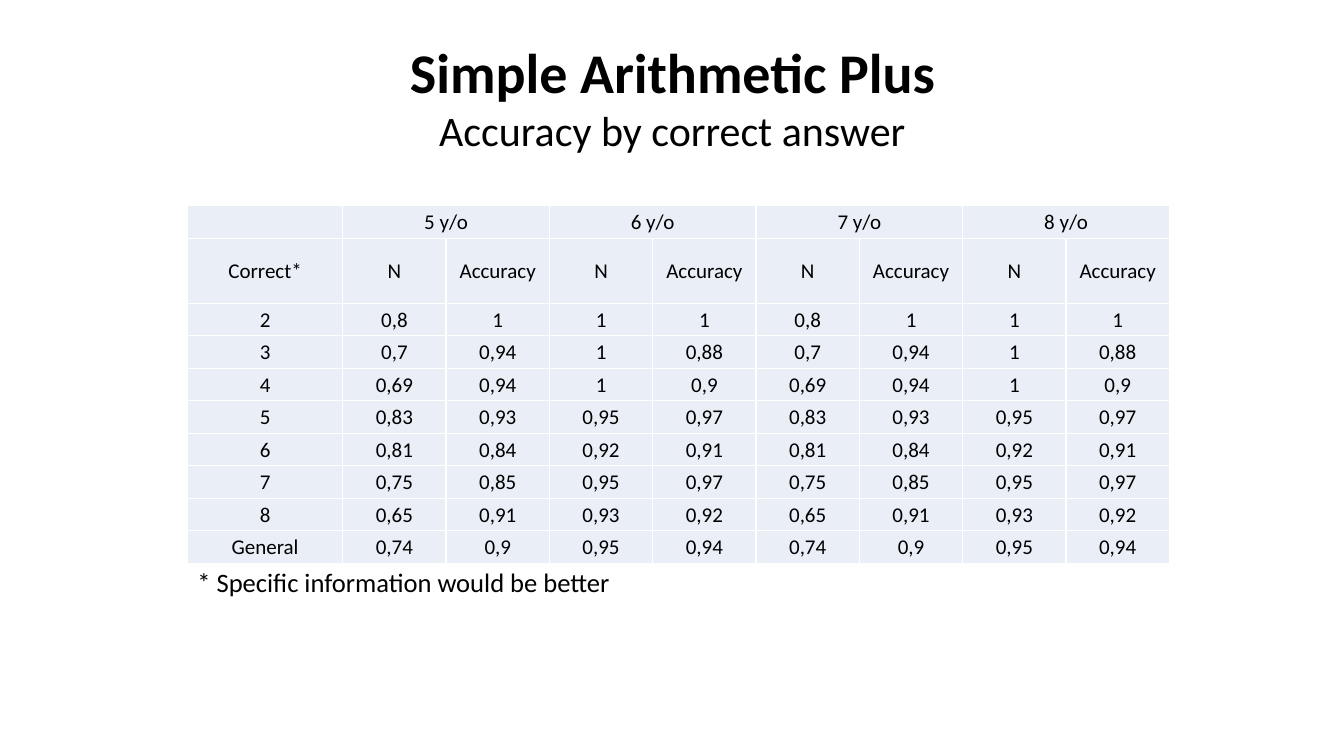
from lxml import etree
from pptx import Presentation
from pptx.dml.color import RGBColor
from pptx.enum.text import MSO_ANCHOR, MSO_AUTO_SIZE, PP_ALIGN
from pptx.oxml.ns import qn
from pptx.util import Inches, Pt

CENTER, LEFT = PP_ALIGN.CENTER, PP_ALIGN.LEFT
TOP, MIDDLE = MSO_ANCHOR.TOP, MSO_ANCHOR.MIDDLE
NO_FIT = MSO_AUTO_SIZE.NONE

FONT = "Calibri"
COLORS = {"text": "000000", "cell": "EAEFF7", "border": "FFFFFF"}

TITLE = "Simple Arithmetic Plus"
SUBTITLE = "Accuracy by correct answer"
FOOTNOTE = "* Specific information would be better"
AGES = ["5 y/o", "6 y/o", "7 y/o", "8 y/o"]
MEASURES = ["N", "Accuracy"]
RESULTS = [
    ("2", "0,8", "1", "1", "1", "0,8", "1", "1", "1"),
    ("3", "0,7", "0,94", "1", "0,88", "0,7", "0,94", "1", "0,88"),
    ("4", "0,69", "0,94", "1", "0,9", "0,69", "0,94", "1", "0,9"),
    ("5", "0,83", "0,93", "0,95", "0,97", "0,83", "0,93", "0,95", "0,97"),
    ("6", "0,81", "0,84", "0,92", "0,91", "0,81", "0,84", "0,92", "0,91"),
    ("7", "0,75", "0,85", "0,95", "0,97", "0,75", "0,85", "0,95", "0,97"),
    ("8", "0,65", "0,91", "0,93", "0,92", "0,65", "0,91", "0,93", "0,92"),
    ("General", "0,74", "0,9", "0,95", "0,94", "0,74", "0,9", "0,95", "0,94"),
]

TABLE_LEFT, TABLE_TOP, TABLE_WIDTH, TABLE_HEIGHT = 1.86, 2.04, 9.74, 3.55
LABEL_WIDTH = 1.54


def add_run(p, text, size, bold=False, align=CENTER):
    p.alignment = align
    r = p.add_run()
    r.text = text
    r.font.name = FONT
    r.font.size = Pt(size)
    r.font.bold = bold
    r.font.color.rgb = RGBColor.from_string(COLORS["text"])


def style_cell(cell):
    cell.vertical_anchor = MIDDLE
    cell.margin_left = cell.margin_right = cell.margin_top = Inches(0.01)
    cell.margin_bottom = 0
    tc_pr = cell._tc.get_or_add_tcPr()
    for side in ("a:lnL", "a:lnR", "a:lnT", "a:lnB"):
        line = etree.SubElement(tc_pr, qn(side), w=str(Pt(1)))
        fill = etree.SubElement(line, qn("a:solidFill"))
        etree.SubElement(fill, qn("a:srgbClr"), val=COLORS["border"])
    cell.fill.solid()
    cell.fill.fore_color.rgb = RGBColor.from_string(COLORS["cell"])


def add_title(s):
    title = s.shapes.title
    title.left, title.top = Inches(3.52), Inches(0.32)
    title.width, title.height = Inches(6.3), Inches(1.28)
    tf = title.text_frame
    tf.word_wrap = True
    tf.auto_size = NO_FIT
    tf.vertical_anchor = TOP
    add_run(tf.paragraphs[0], TITLE, 40, bold=True)
    add_run(tf.add_paragraph(), SUBTITLE, 30)


def add_results_table(s):
    span = len(MEASURES)
    age_row = [""]
    for age in AGES:
        age_row += [age] + [""] * (span - 1)
    rows = [age_row, ["Correct*"] + MEASURES * len(AGES)] + RESULTS
    n_cols = len(age_row)
    table = s.shapes.add_table(
        len(rows), n_cols, Inches(TABLE_LEFT), Inches(TABLE_TOP),
        Inches(TABLE_WIDTH), Inches(TABLE_HEIGHT)).table

    value_width = (TABLE_WIDTH - LABEL_WIDTH) / (n_cols - 1)
    for i, column in enumerate(table.columns):
        column.width = Inches(value_width if i else LABEL_WIDTH)
    row_height = TABLE_HEIGHT / (len(rows) + 1)
    for i, row in enumerate(table.rows):
        row.height = Inches(row_height * (2 if i == 1 else 1))

    for i, row in enumerate(rows):
        for j, text in enumerate(row):
            cell = table.cell(i, j)
            style_cell(cell)
            if text:
                add_run(cell.text_frame.paragraphs[0], text, 15)
    for j in range(1, n_cols, span):
        table.cell(0, j).merge(table.cell(0, j + span - 1))


def add_footnote(s):
    note = s.shapes.add_textbox(
        Inches(TABLE_LEFT), Inches(5.6), Inches(6.13), Inches(1.17))
    tf = note.text_frame
    tf.word_wrap = True
    p = tf.paragraphs[0]
    p.line_spacing = 0.9
    add_run(p, FOOTNOTE, 19, align=LEFT)


def main():
    prs = Presentation()
    prs.slide_width, prs.slide_height = Inches(13.33), Inches(7.5)
    s = prs.slides.add_slide(prs.slide_layouts[5])
    add_title(s)
    add_results_table(s)
    add_footnote(s)
    prs.save("out.pptx")


if __name__ == "__main__":
    main()
